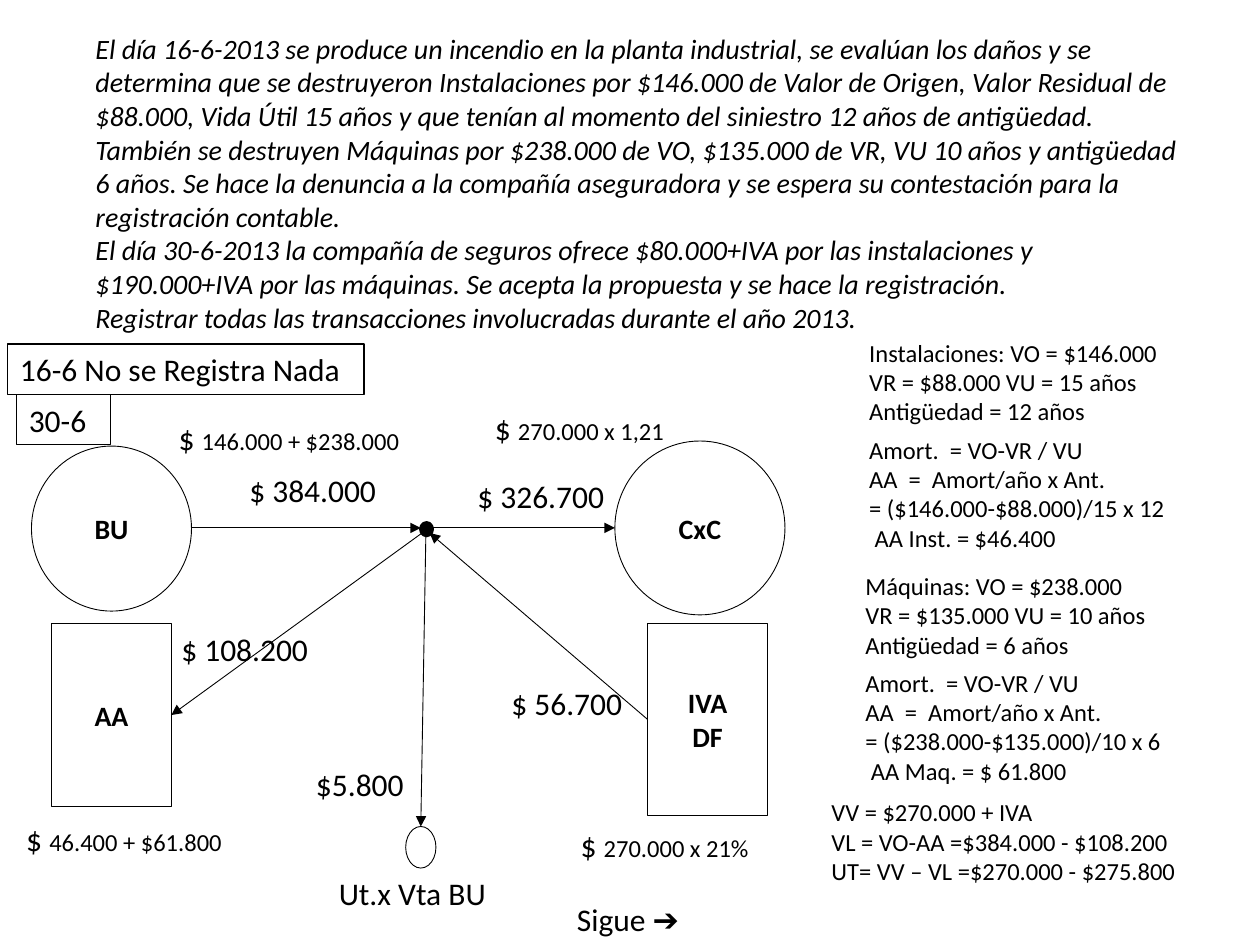
import pptx
import pptx.dml.color
import pptx.enum.shapes
import pptx.enum.text
import pptx.util
import lxml.etree

PX = 9144
FONT = "Calibri"
BLACK = "000000"
SHAPES = pptx.enum.shapes.MSO_SHAPE
ALIGN = pptx.enum.text.PP_ALIGN
ANCHOR = pptx.enum.text.MSO_ANCHOR
AUTO_SIZE = pptx.enum.text.MSO_AUTO_SIZE
DRAWING = "{http://schemas.openxmlformats.org/drawingml/2006/main}"


def color(value):
    return pptx.dml.color.RGBColor.from_string(value)


def emu(*lengths):
    return [pptx.util.Emu(length * PX) for length in lengths]


def write(shape, paragraphs, size=18, bold=None, italic=None, wrap=True,
          grow=True, align=ALIGN.LEFT, anchor=ANCHOR.TOP):
    frame = shape.text_frame
    frame.word_wrap = wrap
    frame.auto_size = AUTO_SIZE.SHAPE_TO_FIT_TEXT if grow else AUTO_SIZE.NONE
    frame.vertical_anchor = anchor
    for index, content in enumerate(paragraphs):
        paragraph = frame.add_paragraph() if index else frame.paragraphs[0]
        paragraph.alignment = align
        runs = [(content, size)] if isinstance(content, str) else content
        for text, run_size in runs:
            run = paragraph.add_run()
            run.text = text
            run.font.name = FONT
            run.font.size = pptx.util.Pt(run_size)
            run.font.bold = bold
            run.font.italic = italic
            run.font.color.rgb = color(BLACK)


def add_text(slide, left, top, width, height, paragraphs, **text_format):
    shape = slide.shapes.add_textbox(*emu(left, top, width, height))
    write(shape, paragraphs, **text_format)
    return shape


def add_outline(slide, kind, left, top, width, height, line=0.5, fill=None):
    shape = slide.shapes.add_shape(kind, *emu(left, top, width, height))
    shape.shadow.inherit = False
    if fill:
        shape.fill.solid()
        shape.fill.fore_color.rgb = color(fill)
    else:
        shape.fill.background()
    shape.line.color.rgb = color(BLACK)
    shape.line.width = pptx.util.Pt(line)
    return shape


def add_account(slide, kind, left, top, width, height, names):
    shape = add_outline(slide, kind, left, top, width, height)
    write(shape, names, size=16, bold=True, grow=False,
          align=ALIGN.CENTER, anchor=ANCHOR.MIDDLE)
    return shape


def add_arrow(slide, left, top, start, end, begin_site=None, end_site=None):
    points = emu(left + start[0], top + start[1], left + end[0], top + end[1])
    connector = slide.shapes.add_connector(
        pptx.enum.shapes.MSO_CONNECTOR.STRAIGHT, *points)
    if begin_site:
        connector.begin_connect(*begin_site)
    if end_site:
        connector.end_connect(*end_site)
    connector.line.color.rgb = color(BLACK)
    connector.line.width = pptx.util.Pt(0.5)
    lxml.etree.SubElement(connector.line._get_or_add_ln(), DRAWING + "tailEnd", type="triangle")
    lxml.etree.SubElement(connector._element.spPr, DRAWING + "effectLst")


def draw_statement(slide, left, top, width, height):
    add_text(slide, left, top, width, height, [
        "El día 16-6-2013 se produce un incendio en la planta industrial, se evalúan los daños y se "
        "determina que se destruyeron Instalaciones por $146.000 de Valor de Origen, Valor Residual de "
        "$88.000, Vida Útil 15 años y que tenían al momento del siniestro 12 años de antigüedad. "
        "También se destruyen Máquinas por $238.000 de VO, $135.000 de VR, VU 10 años y antigüedad "
        "6 años. Se hace la denuncia a la compañía aseguradora y se espera su contestación para la "
        "registración contable.",
        "El día 30-6-2013 la compañía de seguros ofrece $80.000+IVA por las instalaciones y "
        "$190.000+IVA por las máquinas. Se acepta la propuesta y se hace la registración.",
        "Registrar todas las transacciones involucradas durante el año 2013.",
    ], size=16, italic=True)


def draw_dates(slide, left, top):
    for x, y, width, text in [(0, 0, 283, "16-6 No se Registra Nada"),
                              (7, 40, 75, "30-6")]:
        shape = add_outline(slide, SHAPES.RECTANGLE, left + x, top + y, width, 40, line=0.75)
        write(shape, [text])


def draw_accounts(slide, left, top):
    accounts = {}
    for kind, x, y, width, height, names in [
        (SHAPES.OVAL, 0, 34, 127, 131, ["BU"]),
        (SHAPES.OVAL, 463, 30, 135, 138, ["CxC"]),
        (SHAPES.RECTANGLE, 16, 175, 95, 145, ["AA"]),
        (SHAPES.RECTANGLE, 489, 175, 95, 152, ["IVA", "DF"]),
    ]:
        accounts[names[0]] = add_account(slide, kind, left + x, top + y, width, height, names)
    add_outline(slide, SHAPES.OVAL, left + 309, top + 95, 9, 10, line=2, fill=BLACK)
    add_outline(slide, SHAPES.OVAL, left + 297, top + 336, 24, 33)

    add_arrow(slide, left, top, (127, 99), (309, 99))
    add_arrow(slide, left, top, (317, 99), (463, 99))
    add_arrow(slide, left, top, (313, 104), (309, 336))
    add_arrow(slide, left, top, (310, 103), (111, 247), end_site=(accounts["AA"], 3))
    add_arrow(slide, left, top, (489, 251), (316, 103), begin_site=(accounts["IVA"], 1))


def draw_amounts(slide, left, top):
    for x, y, width, text in [
        (163, 49, 122, "$ 384.000"),
        (344, 54, 122, "$ 326.700"),
        (109, 175, 122, "$ 108.200"),
        (371, 218, 109, "$ 56.700"),
        (216, 282, 96, "$5.800"),
    ]:
        add_text(slide, left + x, top + y, width, 40, [text], wrap=False)
    for x, y, width, formula in [
        (107, 8, 197, "146.000 + $238.000"),
        (358, 0, 156, "270.000 x 1,21"),
        (-14, 326, 177, "46.400 + $61.800"),
        (426, 331, 155, "270.000 x 21%"),
    ]:
        add_text(slide, left + x, top + y, width, 40, [[("$ ", 18), (formula, 14)]], wrap=False)
    add_text(slide, left + 234, top + 369, 151, 40, ["Ut.x Vta BU"])
    add_text(slide, left + 423, top + 389, 215, 40, ["Sigue ➔"])


def draw_asset(slide, left, top, data, formula, result):
    add_text(slide, left, top, 291, 81, data, size=14)
    add_text(slide, left, top + 77, 291, 104, [
        "Amort.  = VO-VR / VU", "AA  =  Amort/año x Ant.", formula, result], size=14)


def draw_calculations(slide, left, top):
    draw_asset(slide, left + 30, top,
               ["Instalaciones: VO = $146.000", "VR = $88.000 VU = 15 años", "Antigüedad = 12 años"],
               "= ($146.000-$88.000)/15 x 12", " AA Inst. = $46.400")
    draw_asset(slide, left + 27, top + 185,
               ["Máquinas: VO = $238.000", "VR = $135.000 VU = 10 años", "Antigüedad = 6 años"],
               "= ($238.000-$135.000)/10 x 6", " AA Maq. = $ 61.800")
    add_text(slide, left, top + 365, 296, 81, [
        "VV = $270.000 + IVA",
        "VL = VO-AA =$384.000 - $108.200",
        "UT= VV – VL =$270.000 - $275.800"], size=14)


def main():
    presentation = pptx.Presentation()
    presentation.slide_width, presentation.slide_height = emu(1000, 750)
    slide = presentation.slides.add_slide(presentation.slide_layouts[6])
    draw_statement(slide, 66, 20, 880, 252)
    draw_dates(slide, 6, 273)
    draw_accounts(slide, 25, 320)
    draw_amounts(slide, 25, 320)
    draw_calculations(slide, 650, 263)
    presentation.save("out.pptx")


if __name__ == "__main__":
    main()
